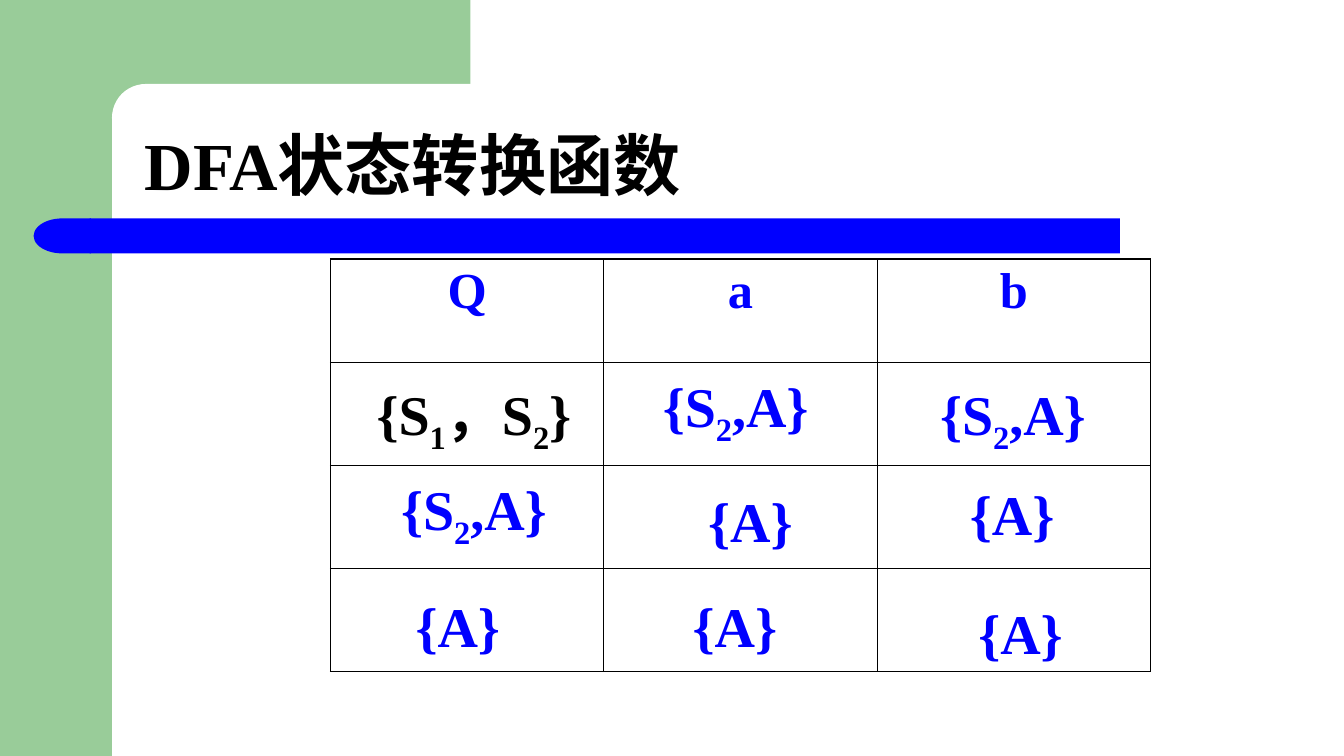
from lxml.etree import SubElement as Sub
from pptx import Presentation as Deck
from pptx.dml.color import RGBColor as RGB
from pptx.enum.shapes import MSO_SHAPE as Form
from pptx.enum.text import MSO_ANCHOR as Anchor, MSO_AUTO_SIZE as Auto, PP_ALIGN as Align
from pptx.oxml.ns import qn
from pptx.util import Pt

GREEN, BLUE, BLACK, WHITE = "99CC99", "0000FF", "000000", "FFFFFF"


def tint(code):
    return RGB.from_string(code)


def apply(item, looks):
    for key, value in looks.items():
        setattr(item, key, value)


class Page:
    base = {"name": "Times New Roman", "bold": True}

    def __init__(self, deck):
        self.slide = deck.slides.add_slide(deck.slide_layouts[5])
        self.shapes = self.slide.shapes

    def words(self, para, text, size, color, align=Align.CENTER):
        para.alignment = align
        head, *rest = text.split("_")
        parts = [(head, False)]
        for part in rest:
            parts += [(part[0], True), (part[1:], False)]
        for word, low in parts:
            run = para.add_run()
            run.text = word
            apply(run.font, {**self.base, "size": Pt(size)})
            run.font.color.rgb = tint(color)
            if low:
                run._r.get_or_add_rPr().set("baseline", "-25000")

    def block(self, form, box, color, turn=0, round=None):
        shape = self.shapes.add_shape(form, *map(Pt, box))
        shape.shadow.inherit = False
        shape.fill.solid()
        shape.fill.fore_color.rgb = tint(color)
        shape.line.fill.background()
        shape.rotation = turn
        if round is not None:
            shape.adjustments[0] = round

    def title(self, text, box):
        title = self.shapes.title
        title.element.getparent().append(title.element)
        apply(title, dict(zip(("left", "top", "width", "height"), map(Pt, box))))
        frame = title.text_frame
        apply(frame, {"vertical_anchor": Anchor.BOTTOM, "word_wrap": True, "auto_size": Auto.NONE})
        para = frame.paragraphs[0]
        para.line_spacing = 0.9
        self.words(para, text, 48, BLACK, Align.LEFT)

    def label(self, text, box, color):
        frame = self.shapes.add_textbox(*map(Pt, box)).text_frame
        apply(frame, {"vertical_anchor": Anchor.MIDDLE, "word_wrap": False})
        self.words(frame.paragraphs[0], text, 40, color)

    def edge(self, cell):
        props = cell._tc.get_or_add_tcPr()
        for side in ("lnL", "lnR", "lnT", "lnB"):
            line = Sub(props, qn("a:" + side), w=str(Pt(1)))
            fill = Sub(line, qn("a:solidFill"))
            Sub(fill, qn("a:srgbClr"), val=BLACK)

    def table(self, heads, rows, box):
        table = self.shapes.add_table(rows, len(heads), *map(Pt, box)).table
        apply(table, {"first_row": False, "horz_banding": False})
        for cell in table.iter_cells():
            self.edge(cell)
            cell.fill.background()
        for col, head in enumerate(heads):
            self.words(table.cell(0, col).text_frame.paragraphs[0], head, 36, BLUE)


def main():
    deck = Deck()
    deck.slide_width, deck.slide_height = Pt(960), Pt(540)
    page = Page(deck)
    page.block(Form.RECTANGLE, (0, 0, 80, 540), GREEN)
    page.block(Form.RECTANGLE, (72, 0, 264, 84), GREEN)
    page.block(Form.ROUNDED_RECTANGLE, (80, 60, 536, 48), WHITE, round=0.5)
    page.block(Form.ROUNDED_RECTANGLE, (64, 156, 736, 25), BLUE, round=0)
    page.block(Form.FLOWCHART_DELAY, (24, 156, 41, 25), BLUE, turn=180)
    page.title("DFA状态转换函数", (96, 60, 840, 90))
    page.table(["Q", "a", "b"], 4, (236, 185, 586, 295))

    pair, last = "{S_2,A}", "{A}"
    wide = {pair: 181, last: 158}
    states = [
        ("{S_1，S_2}", 248, 270), (pair, 435, 264), (pair, 633, 270),
        (pair, 248, 338), (last, 457, 343), (last, 644, 338),
        (last, 248, 418), (last, 446, 418), (last, 650, 423),
    ]
    for text, left, top in states:
        color = BLUE if text in wide else BLACK
        page.label(text, (left, top, wide.get(text, 181), 57), color)
    deck.save("out.pptx")


if __name__ == "__main__":
    main()
